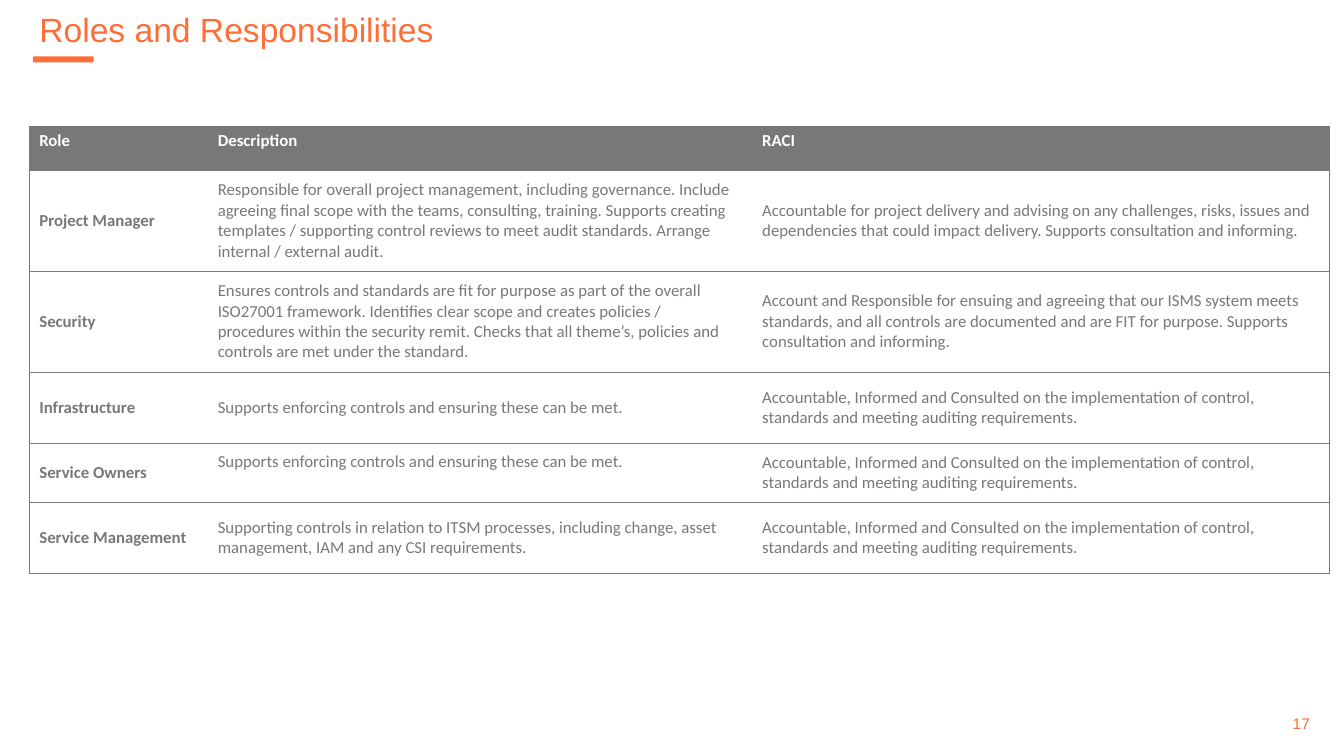
from lxml.etree import SubElement
from pptx import Presentation
from pptx.dml.color import RGBColor as Rgb
from pptx.enum.shapes import MSO_SHAPE as Shape
from pptx.enum.text import MSO_ANCHOR as Anchor, MSO_AUTO_SIZE as Fit, PP_ALIGN as Align
from pptx.oxml.ns import qn
from pptx.util import Pt

PX = 9144
COLORS = {"accent": "FD6E39", "gray": "787878", "white": "FFFFFF"}
HEAD = ("Role", "Description", "RACI")
ENFORCE = "Supports enforcing controls and ensuring these can be met."
INFORM = ("Accountable, Informed and Consulted on the implementation of control, "
          "standards and meeting auditing requirements.")
ROLES = [
    ("Project Manager",
     "Responsible for overall project management, including governance. Include agreeing "
     "final scope with the teams, consulting, training. Supports creating templates / "
     "supporting control reviews to meet audit standards. Arrange internal / external audit.",
     "Accountable for project delivery and advising on any challenges, risks, issues and "
     "dependencies that could impact delivery. Supports consultation and informing."),
    ("Security",
     "Ensures controls and standards are fit for purpose as part of the overall ISO27001 "
     "framework. Identifies clear scope and creates policies / procedures within the "
     "security remit. Checks that all theme’s, policies and controls are met under the "
     "standard.",
     "Account and Responsible for ensuing and agreeing that our ISMS system meets standards, "
     "and all controls are documented and are FIT for purpose. Supports consultation and "
     "informing."),
    ("Infrastructure", ENFORCE, INFORM),
    ("Service Owners", ENFORCE, INFORM),
    ("Service Management",
     "Supporting controls in relation to ITSM processes, including change, asset "
     "management, IAM and any CSI requirements.", INFORM),
]


class Deck:
    def __init__(self, wide, high):
        self.prs = Presentation()
        self.prs.slide_width, self.prs.slide_height = wide * PX, high * PX
        self.slide = self.prs.slides.add_slide(self.prs.slide_layouts[5])

    def font(self, par, size, color, face="Arial", bold=False):
        font = par.font
        font.name, font.size, font.bold = face, Pt(size), bold
        font.color.rgb = Rgb.from_string(COLORS[color])

    def title(self, text, x, y, w, h):
        box = self.slide.shapes.title
        box.left, box.top, box.width, box.height = (n * PX for n in (x, y, w, h))
        frame = box.text_frame
        frame.text = text
        frame.auto_size, frame.vertical_anchor = Fit.NONE, Anchor.TOP
        par = frame.paragraphs[0]
        par.alignment, par.line_spacing = Align.LEFT, 0.9
        self.font(par, 24, "accent")

    def bar(self, x, y, w, h):
        bar = self.slide.shapes.add_shape(Shape.RECTANGLE, *(n * PX for n in (x, y, w, h)))
        bar.shadow.inherit = False
        bar.fill.solid()
        bar.fill.fore_color.rgb = Rgb.from_string(COLORS["accent"])
        bar.line.fill.background()

    def number(self, text, x, y, w, h):
        box = self.slide.shapes.add_textbox(*(n * PX for n in (x, y, w, h)))
        frame = box.text_frame
        frame.text, frame.word_wrap = text, True
        frame.vertical_anchor = Anchor.MIDDLE
        par = frame.paragraphs[0]
        par.alignment = Align.RIGHT
        self.font(par, 11, "accent")

    def edges(self, cell, sides):
        """Rule the given sides of a cell and clear the others."""
        props = cell._tc.get_or_add_tcPr()
        for side in "LRTB":
            line = SubElement(props, qn(f"a:ln{side}"), w=str(Pt(0.5)))
            if side in sides:
                fill = SubElement(line, qn("a:solidFill"))
                SubElement(fill, qn("a:srgbClr"), val=COLORS["gray"])
            else:
                SubElement(line, qn("a:noFill"))

    def cell(self, cell, text, head, bold):
        cell.text = text
        if head:
            cell.fill.solid()
            cell.fill.fore_color.rgb = Rgb.from_string(COLORS["gray"])
        else:
            cell.fill.background()
            cell.vertical_anchor = Anchor.MIDDLE
        par = cell.text_frame.paragraphs[0]
        self.font(par, 12, "white" if head else "gray", "Calibri", bold)

    def table(self, rows, x, y, cols, highs):
        table = self.slide.shapes.add_table(
            len(rows), len(cols), x * PX, y * PX, sum(cols) * PX, sum(highs) * PX).table
        table.horz_banding = False
        for col, wide in zip(table.columns, cols):
            col.width = wide * PX
        last = len(cols) - 1
        for r, (row, high) in enumerate(zip(rows, highs)):
            table.rows[r].height = high * PX
            for c, text in enumerate(row):
                cell = table.cell(r, c)
                self.edges(cell, "TB" + "L" * (c == 0) + "R" * (c == last))
                self.cell(cell, text, r == 0, r == 0 or c == 0)
        return table


def main():
    deck = Deck(1333, 750)
    deck.bar(33, 56, 60, 6)
    deck.title("Roles and Responsibilities", 29, 8, 1157, 46)
    deck.number("17", 1225, 698, 84, 40)
    table = deck.table([HEAD, *ROLES], 29, 125, (177, 540, 572), (44, 100, 100, 71, 58, 71))
    owners = table.cell(4, 1)
    owners.vertical_anchor, owners.margin_top = Anchor.TOP, 8 * PX
    deck.prs.save("out.pptx")


if __name__ == "__main__":
    main()
